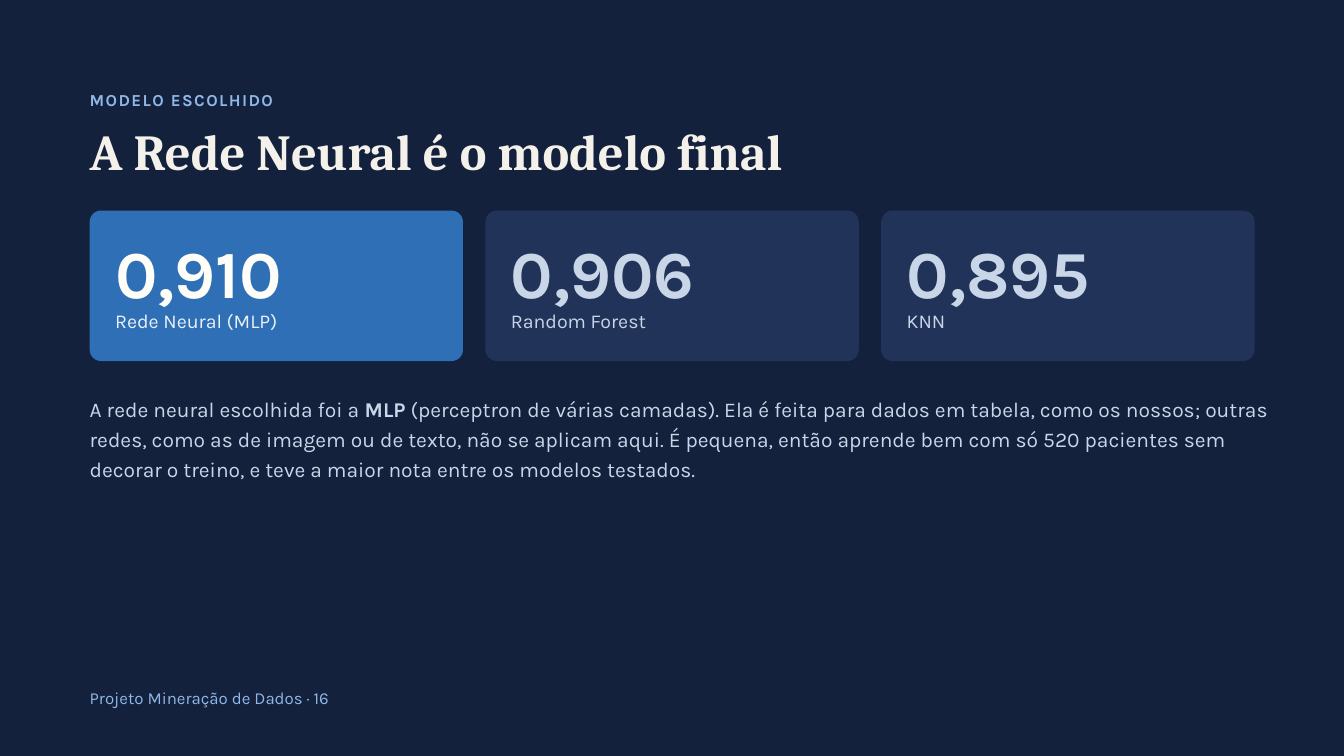
"""Build the slide presenting the chosen model and its scores."""
from dataclasses import dataclass

from pptx import Presentation
from pptx.dml.color import RGBColor
from pptx.enum.shapes import MSO_SHAPE
from pptx.enum.text import MSO_AUTO_SIZE
from pptx.shapes.shapetree import GroupShapes, SlideShapes
from pptx.util import Cm, Pt

NAVY = RGBColor(0x14, 0x21, 0x3D)
INDIGO = RGBColor(0x22, 0x33, 0x5A)
BLUE = RGBColor(0x2F, 0x6F, 0xB5)
SKY = RGBColor(0x8F, 0xB8, 0xE8)
MIST = RGBColor(0xC9, 0xD6, 0xE8)
ICE = RGBColor(0xEA, 0xF1, 0xF9)
IVORY = RGBColor(0xF4, 0xF1, 0xEA)
WHITE = RGBColor(0xFF, 0xFD, 0xF8)

MARGIN = 3.39
TEXT_W = 45.34
CARD_W, CARD_H, CARD_GAP, CARD_TOP = 14.11, 5.69, 0.85, 7.96
CARD_RADIUS = 0.43
CARD_PAD = 0.96

BODY = (
    "A rede neural escolhida foi a **MLP** (perceptron de várias camadas). "
    "Ela é feita para dados em tabela, como os nossos; outras redes, como as de "
    "imagem ou de texto, não se aplicam aqui. É pequena, então aprende bem com só "
    "520 pacientes sem decorar o treino, e teve a maior nota entre os modelos testados."
)


@dataclass(frozen=True)
class Card:
    score: str
    model: str
    fill: RGBColor = INDIGO
    score_color: RGBColor = MIST
    model_color: RGBColor = MIST


CARDS = (
    Card("0,910", "Rede Neural (MLP)", BLUE, WHITE, ICE),
    Card("0,906", "Random Forest"),
    Card("0,895", "KNN"),
)


def add_text(shapes: SlideShapes | GroupShapes, text: str, left: float, top: float,
             width: float, height: float, *, size: float, leading: float,
             color: RGBColor, font: str = "Karla", bold: bool = False,
             spacing: float = 0) -> None:
    """Add a text box; words between double asterisks switch weight."""
    tb = shapes.add_textbox(Cm(left), Cm(top), Cm(width), Cm(height))
    tf = tb.text_frame
    tf.margin_left = tf.margin_top = tf.margin_right = tf.margin_bottom = 0
    tf.word_wrap = True
    tf.auto_size = MSO_AUTO_SIZE.SHAPE_TO_FIT_TEXT
    p = tf.paragraphs[0]
    p.line_spacing = Pt(leading)
    for i, part in enumerate(text.split("**")):
        r = p.add_run()
        r.text = part
        r.font.name = font
        r.font.size = Pt(size)
        r.font.bold = bold != (i % 2 == 1)
        r.font.color.rgb = color
        if spacing:
            r.font._element.set("spc", str(round(spacing * 100)))


def add_card(shapes: SlideShapes, card: Card, left: float) -> None:
    """Add a grouped score card."""
    group = shapes.add_group_shape().shapes
    sp = group.add_shape(MSO_SHAPE.ROUNDED_RECTANGLE, Cm(left), Cm(CARD_TOP),
                         Cm(CARD_W), Cm(CARD_H))
    sp.adjustments[0] = CARD_RADIUS / CARD_H
    sp.shadow.inherit = False
    sp.fill.solid()
    sp.fill.fore_color.rgb = card.fill
    sp.line.fill.background()
    x, width = left + CARD_PAD, 12.57
    add_text(group, card.score, x, 9.24, width, 2.3, size=72, leading=72,
             color=card.score_color, bold=True)
    add_text(group, card.model, x, 11.54, width, 1.27, size=21, leading=29.4,
             color=card.model_color)


def main() -> None:
    """Build and save the slide."""
    prs = Presentation()
    prs.slide_width, prs.slide_height = Cm(50.8), Cm(28.58)
    s = prs.slides.add_slide(prs.slide_layouts[6])
    s.background.fill.solid()
    s.background.fill.fore_color.rgb = NAVY

    add_text(s.shapes, "MODELO ESCOLHIDO", MARGIN, 3.28, TEXT_W, 1.09, size=18,
             leading=25.2, color=SKY, bold=True, spacing=1.5)
    add_text(s.shapes, "A Rede Neural é o modelo final", MARGIN, 4.72, TEXT_W, 2.06,
             size=54, leading=59.4, color=IVORY, font="Cambria", bold=True)
    for i, card in enumerate(CARDS):
        add_card(s.shapes, card, MARGIN + i * (CARD_W + CARD_GAP))
    add_text(s.shapes, BODY, MARGIN, 14.78, TEXT_W, 3.68, size=22.5,
             leading=32.6, color=MIST)
    add_text(s.shapes, "Projeto Mineração de Dados · 16", MARGIN, 25.88, TEXT_W, 0.86,
             size=18, leading=25.2, color=SKY)
    prs.save("out.pptx")


if __name__ == "__main__":
    main()
